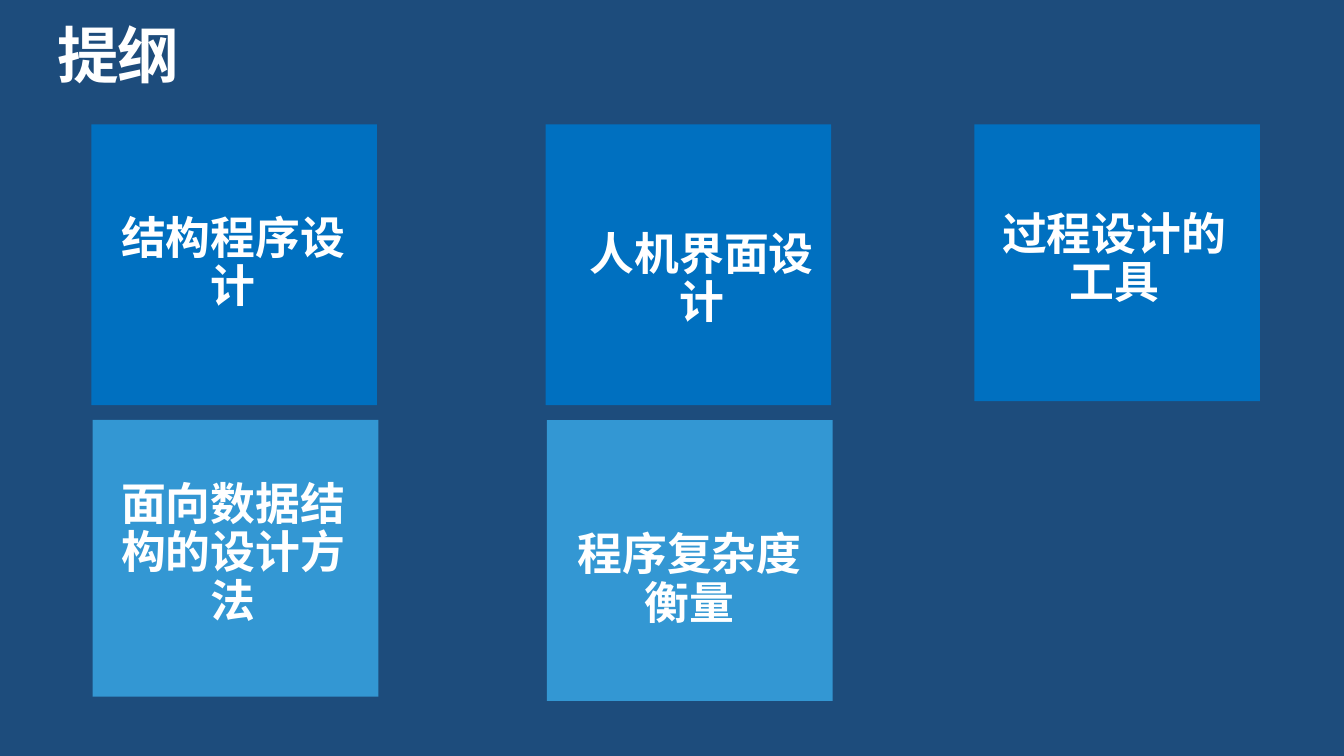
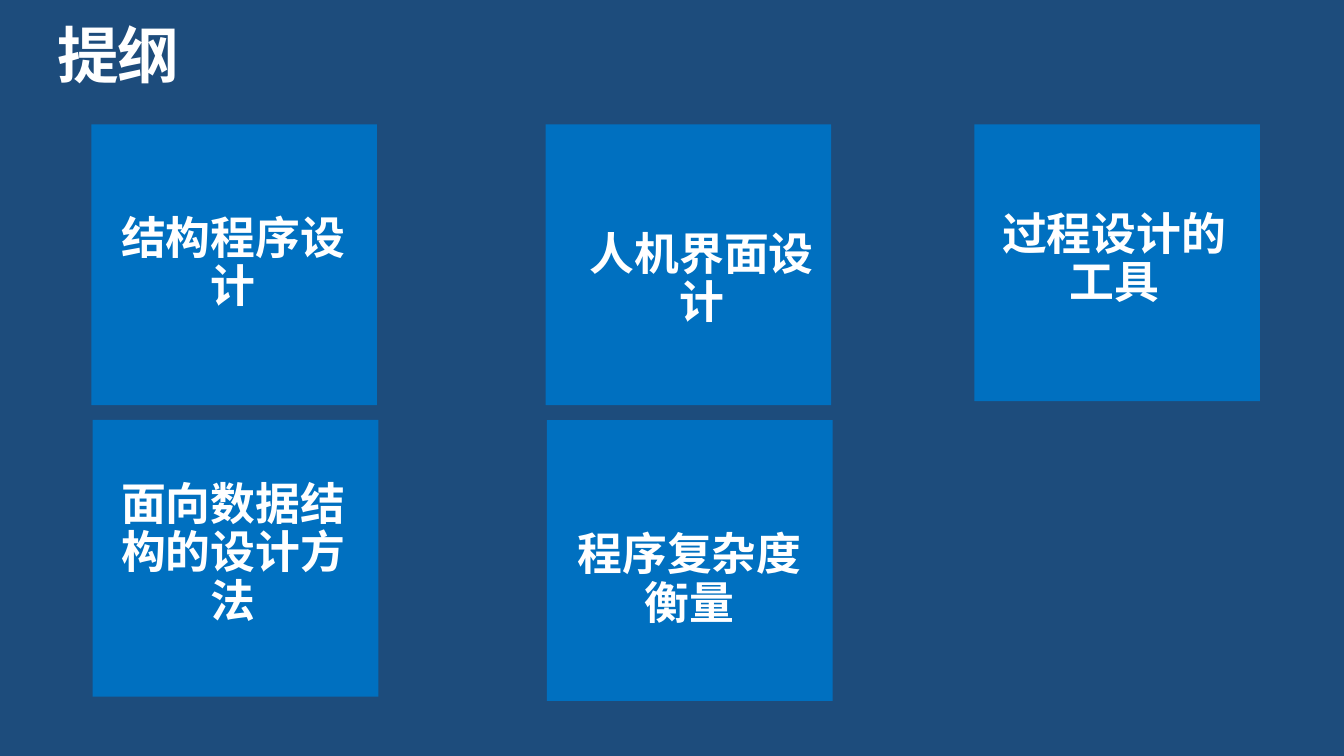
from dataclasses import dataclass

from lxml import etree
from pptx import Presentation
from pptx.dml.color import RGBColor
from pptx.enum.shapes import MSO_SHAPE
from pptx.enum.text import MSO_ANCHOR, MSO_AUTO_SIZE, PP_ALIGN
from pptx.oxml.ns import qn
from pptx.util import Pt

RECTANGLE = MSO_SHAPE.RECTANGLE
TOP, MIDDLE = MSO_ANCHOR.TOP, MSO_ANCHOR.MIDDLE
LEFT, CENTER = PP_ALIGN.LEFT, PP_ALIGN.CENTER
GROW = MSO_AUTO_SIZE.SHAPE_TO_FIT_TEXT

PX = 4572  # EMU in one px, 200 px to the inch


@dataclass(frozen=True)
class Theme:
    background: RGBColor = RGBColor(0x1D, 0x4C, 0x7C)
    tile: RGBColor = RGBColor(0x00, 0x70, 0xC0)
    light_tile: RGBColor = RGBColor(0x33, 0x97, 0xD3)
    text: RGBColor = RGBColor(0xFF, 0xFF, 0xFF)
    font: str = "Noto Sans CJK SC"
    title_size: int = 33
    label_size: int = 24
    line_spacing: float = 0.9


THEME = Theme()


def scale(*lengths):
    return [length * PX for length in lengths]


def add_text(shapes, place, text, size, align, anchor, tracking=0):
    box = shapes.add_textbox(*scale(*place))
    frame = box.text_frame
    frame.text = text
    frame.word_wrap = True
    frame.auto_size = GROW
    frame.vertical_anchor = anchor
    frame.margin_left = frame.margin_right = 0
    frame.margin_top = frame.margin_bottom = 0
    para = frame.paragraphs[0]
    para.alignment = align
    para.line_spacing = THEME.line_spacing
    span = para.runs[0]
    span.font.size = Pt(size)
    span.font.bold = True
    span.font.color.rgb = THEME.text
    span.font.name = THEME.font
    properties = span._r.get_or_add_rPr()
    etree.SubElement(properties, qn("a:ea")).set("typeface", THEME.font)
    if tracking:
        properties.set("spc", str(tracking))
    return box


# Topics: text, tile left, top and height, label left, top and height, row
TILE_WIDTH, LABEL_WIDTH = 425, 358
TOPICS = [
    ("结构程序设计", 136, 185, 418, 168, 320, 146, 0),
    ("人机界面设计", 812, 185, 418, 865, 344, 146, 0),
    ("过程设计的工具", 1450, 185, 412, 1479, 314, 146, 0),
    ("程序复杂度衡量", 814, 625, 418, 847, 791, 146, 1),
    ("面向数据结构的设计方法", 138, 625, 412, 168, 716, 218, 1),
]
UNFILLED_LABEL = "人机界面设计"

# Tile colours of the two rows, one pair for each slide
ROW_COLOURS = [(THEME.tile, THEME.light_tile), (THEME.tile, THEME.tile)]

deck = Presentation()
deck.slide_width, deck.slide_height = scale(2000, 1125)
blank = deck.slide_layouts[6]

for colours in ROW_COLOURS:
    page = deck.slides.add_slide(blank)
    page.background.fill.solid()
    page.background.fill.fore_color.rgb = THEME.background

    # Title
    title_place = (86, 38, 1830, 100)
    add_text(page.shapes, title_place, "提纲", THEME.title_size, LEFT, TOP, -80)

    # Topic tiles, each grouped with its label
    for text, left, top, height, label_left, label_top, label_height, row in TOPICS:
        group = page.shapes.add_group_shape()
        tile = group.shapes.add_shape(RECTANGLE, *scale(left, top, TILE_WIDTH, height))
        tile.shadow.inherit = False
        tile.fill.solid()
        tile.fill.fore_color.rgb = colours[row]
        tile.line.fill.background()
        label_place = (label_left, label_top, LABEL_WIDTH, label_height)
        label = add_text(group.shapes, label_place, text, THEME.label_size, CENTER, MIDDLE)
        if colours[row] == THEME.tile and text != UNFILLED_LABEL:
            label.fill.solid()
            label.fill.fore_color.rgb = THEME.tile

deck.save("out.pptx")
